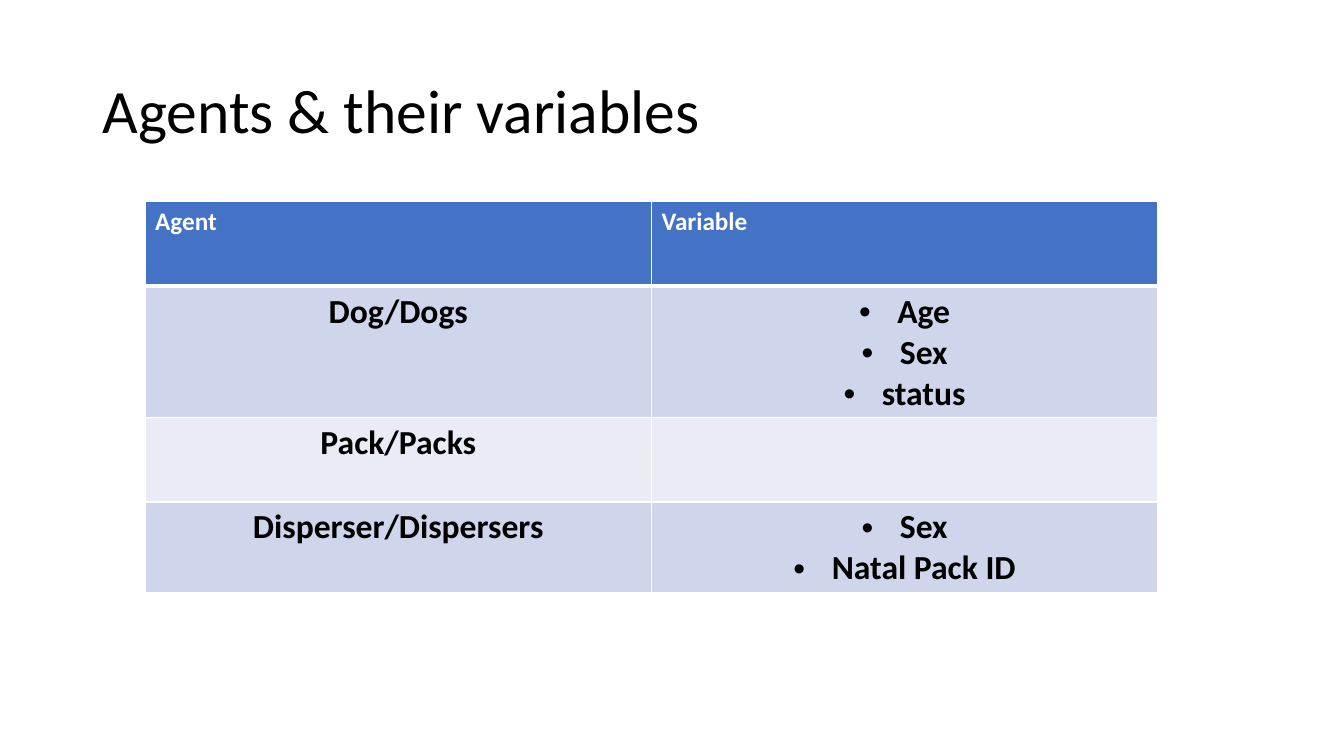
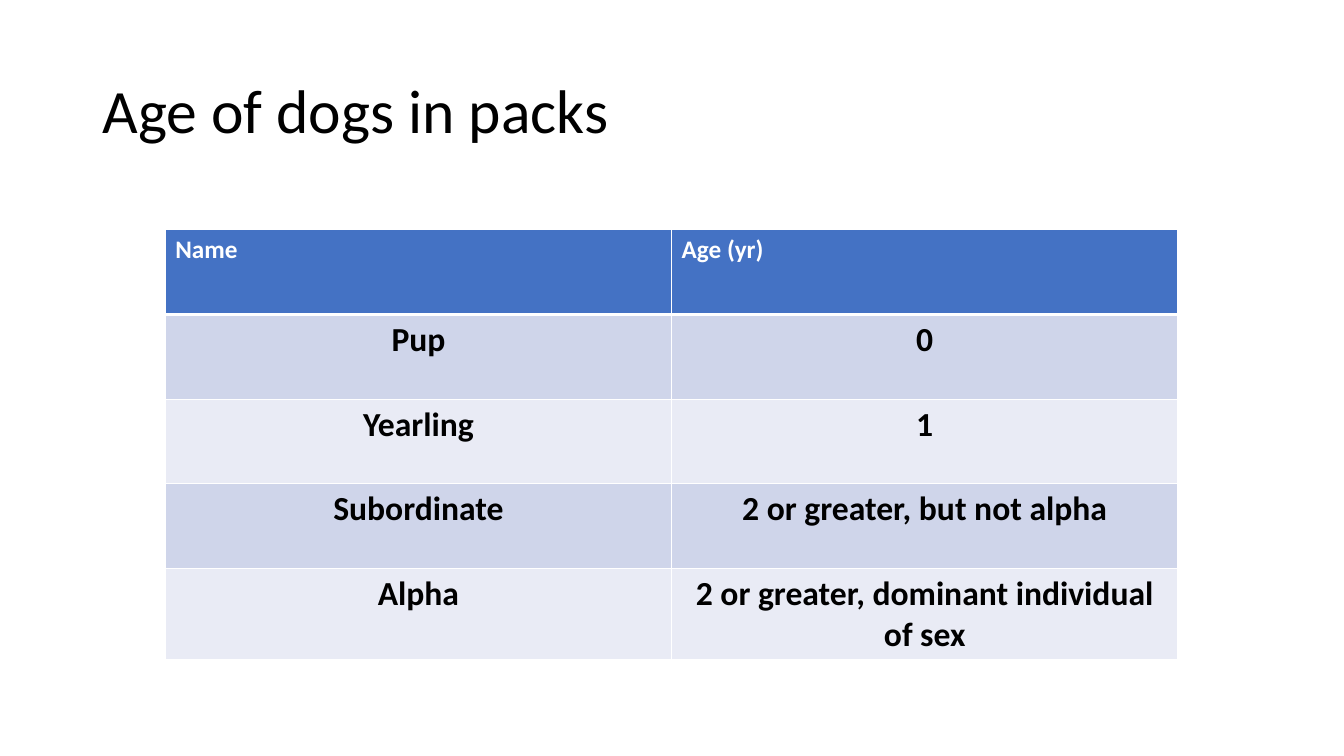
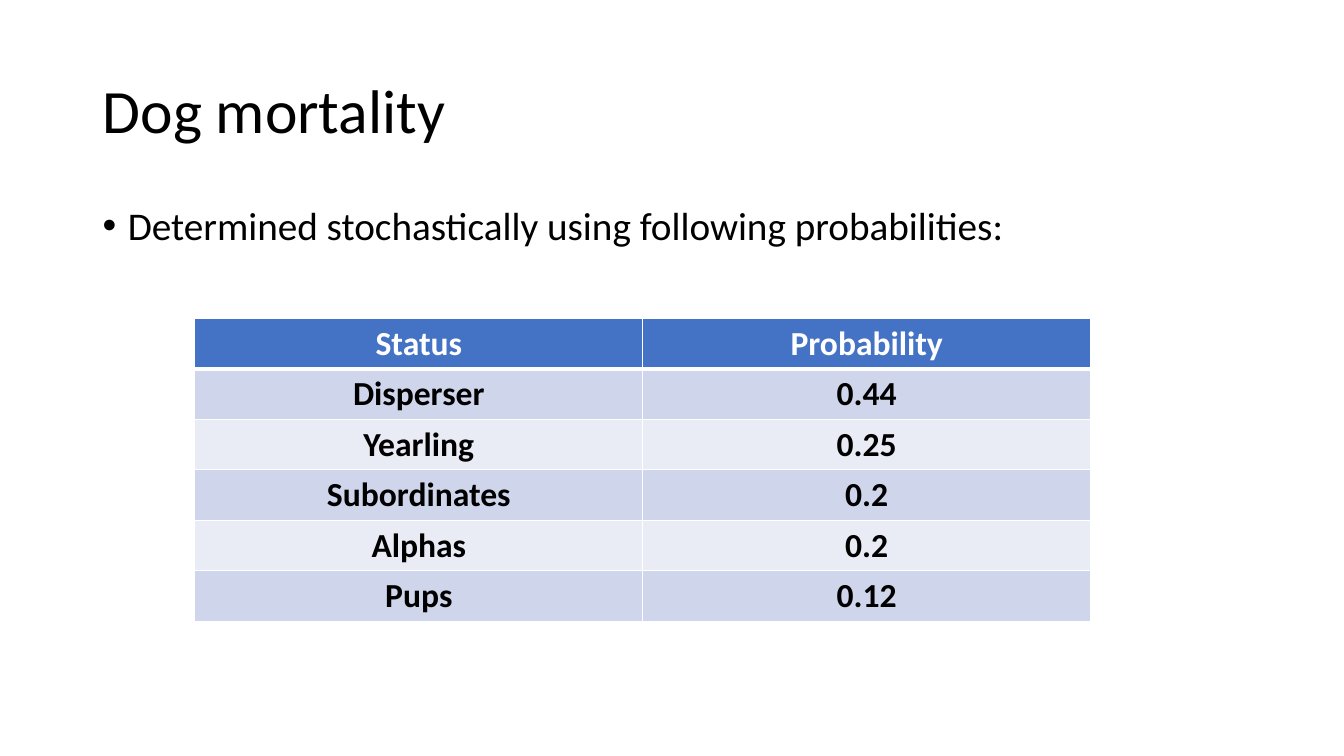
from dataclasses import dataclass

from pptx import Presentation
from pptx.dml.color import RGBColor as Color
from pptx.enum.text import MSO_ANCHOR as Anchor, PP_ALIGN as Align
from pptx.oxml import parse_xml
from pptx.oxml.ns import nsdecls
from pptx.util import Inches, Pt


@dataclass(frozen=True)
class Theme:
    font: str = "Calibri"
    ink: str = "000000"
    paper: str = "FFFFFF"
    header: str = "4472C4"
    bands: tuple = ("CFD5EA", "E9EBF5")
    title_size: int = 44
    body_size: int = 28
    cell_size: int = 24
    label_size: int = 18
    rule: int = 1
    header_rule: int = 3


theme = Theme()

presentation = Presentation()
presentation.slide_width, presentation.slide_height = Inches(13.33), Inches(7.5)
# Positions are percentages of the slide's width and height
column = presentation.slide_width / 100
row = presentation.slide_height / 100
margin, text_width = 6.9, 86.25


def write(paragraph, text, size, color, bold=False, align=Align.LEFT, indent=0, **spacing):
    """Fill a paragraph; an indent in inches also gives it a hanging bullet."""
    run = paragraph.add_run()
    run.text = text
    formats = {"name": theme.font, "size": Pt(size), "bold": bold}
    for name, value in formats.items():
        setattr(run.font, name, value)
    run.font.color.rgb = Color.from_string(color)
    for name, value in {"alignment": align, **spacing}.items():
        setattr(paragraph, name, value)
    if indent:
        properties = paragraph._p.get_or_add_pPr()
        properties.set("marL", str(Inches(indent)))
        properties.set("indent", str(-Inches(indent)))
        for bullet in ('<a:buFont {} typeface="Arial"/>', '<a:buChar {} char="•"/>'):
            properties.append(parse_xml(bullet.format(nsdecls("a"))))


def add_text(slide, top, height, anchor, text, size, **options):
    """Add a text box as wide as the slide's text area."""
    box = slide.shapes.add_textbox(
        int(margin * column), int(top * row), int(text_width * column), int(height * row))
    box.text_frame.word_wrap = True
    box.text_frame.vertical_anchor = anchor
    write(box.text_frame.paragraphs[0], text, size, theme.ink, line_spacing=0.9, **options)


# A list in a cell becomes bulleted lines
slides = [
    {
        "title": "Agents & their variables",
        "left": 10.8, "top": 26.67, "column_width": 37.67, "row_height": 11.2,
        "header_format": {"size": theme.label_size},
        "rows": [
            ("Agent", "Variable"),
            ("Dog/Dogs", ["Age", "Sex", "status"]),
            ("Pack/Packs", ""),
            ("Disperser/Dispersers", ["Sex", "Natal Pack ID"]),
        ],
    },
    {
        "title": "Age of dogs in packs",
        "left": 12.3, "top": 30.4, "column_width": 37.67, "row_height": 11.2,
        "header_format": {"size": theme.label_size},
        "rows": [
            ("Name", "Age (yr)"),
            ("Pup", "0"),
            ("Yearling", "1"),
            ("Subordinate", "2 or greater, but not alpha"),
            ("Alpha", "2 or greater, dominant individual of sex"),
        ],
    },
    {
        "title": "Dog mortality",
        "body": "Determined stochastically using following probabilities:",
        "left": 14.5, "top": 42.13, "column_width": 33.33, "row_height": 6.67,
        "header_format": {"size": theme.cell_size, "align": Align.CENTER},
        "rows": [
            ("Status", "Probability"),
            ("Disperser", "0.44"),
            ("Yearling", "0.25"),
            ("Subordinates", "0.2"),
            ("Alphas", "0.2"),
            ("Pups", "0.12"),
        ],
    },
]

for content in slides:
    slide = presentation.slides.add_slide(presentation.slide_layouts[6])

    # Title and body text
    add_text(slide, 5.33, 19.33, Anchor.MIDDLE, content["title"], theme.title_size)
    if "body" in content:
        add_text(slide, 26.67, 63.47, Anchor.TOP, content["body"], theme.body_size,
                 indent=0.25, space_before=Pt(10))

    # Table grid
    rows = content["rows"]
    column_count = len(rows[0])
    table = slide.shapes.add_table(
        len(rows), column_count,
        int(content["left"] * column), int(content["top"] * row),
        int(column_count * content["column_width"] * column),
        int(len(rows) * content["row_height"] * row)).table

    for row_index, values in enumerate(rows):
        is_header = row_index == 0
        fill = theme.header if is_header else theme.bands[(row_index - 1) % 2]
        text_format = {"color": theme.ink, "size": theme.cell_size, "align": Align.CENTER}
        if is_header:
            text_format = {"color": theme.paper, **content["header_format"]}
        borders = {
            "lnL": theme.rule,
            "lnR": theme.rule,
            "lnT": theme.header_rule if row_index == 1 else theme.rule,
            "lnB": theme.header_rule if is_header else theme.rule,
        }

        for column_index, value in enumerate(values):
            cell = table.cell(row_index, column_index)

            # Cell borders and fill
            properties = cell._tc.get_or_add_tcPr()
            for side, width in borders.items():
                properties.append(parse_xml(
                    f'<a:{side} {nsdecls("a")} w="{Pt(width)}"><a:solidFill>'
                    f'<a:srgbClr val="{theme.paper}"/></a:solidFill></a:{side}>'))
            cell.fill.solid()
            cell.fill.fore_color.rgb = Color.from_string(fill)

            # Cell text
            is_list = isinstance(value, list)
            lines = value if is_list else [value] if value else []
            for line_index, line in enumerate(lines):
                frame = cell.text_frame
                paragraph = frame.add_paragraph() if line_index else frame.paragraphs[0]
                write(paragraph, line, bold=True, indent=0.38 if is_list else 0, **text_format)

presentation.save("out.pptx")
